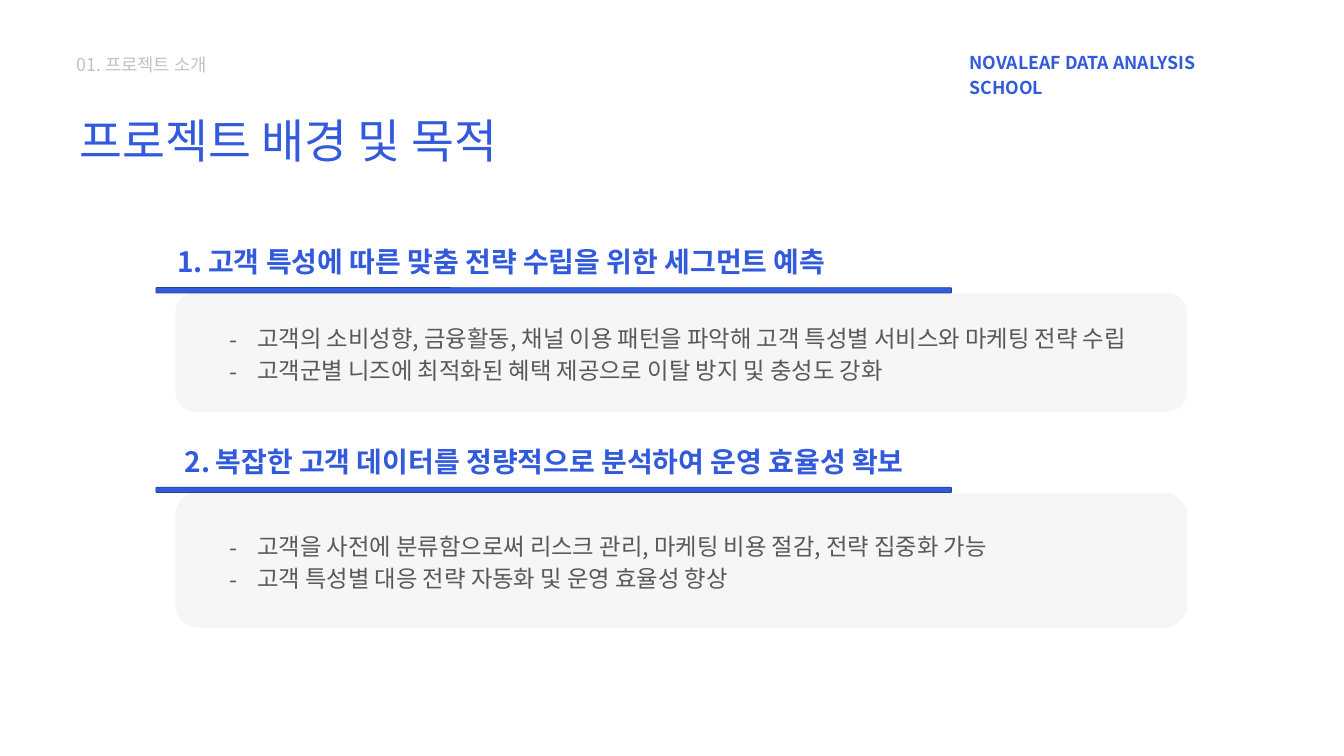
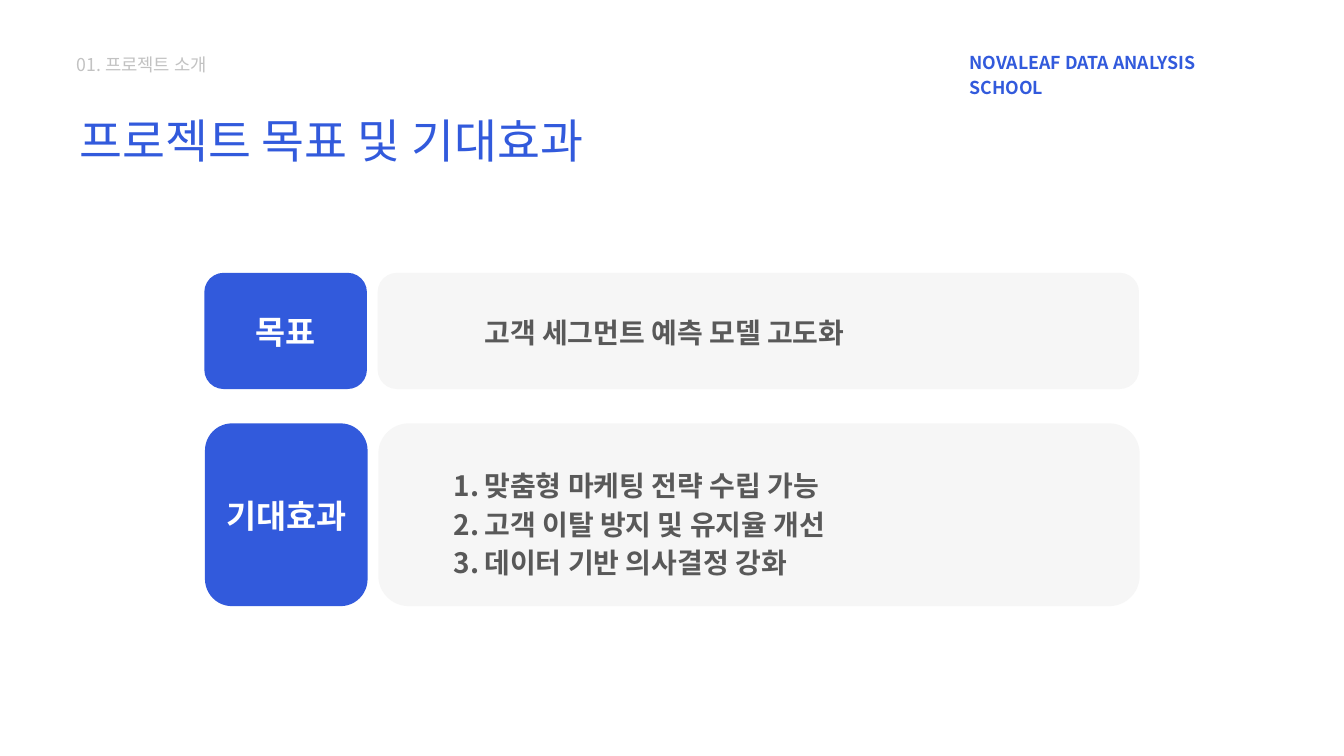
from dataclasses import dataclass

from lxml import etree
from pptx import Presentation
from pptx import util as u
from pptx.dml.color import RGBColor
from pptx.enum import shapes, text
from pptx.oxml import ns


@dataclass(frozen=True)
class Theme:
    font: str = "Noto Sans CJK KR"
    blue: str = "325ADC"
    navy: str = "1F497D"
    panel: str = "F6F6F6"
    body: str = "595959"
    muted: str = "C2C2C2"
    white: str = "FFFFFF"
    title_size: int = 50
    label_size: int = 35
    heading_size: int = 30
    list_size: int = 25
    small_size: int = 19


THEME = Theme()
SCHOOL = "NOVALEAF DATA ANALYSIS SCHOOL"
SECTION = "01. 프로젝트 소개"
TITLE_ONLY, ONE_LIST, TWO_LISTS = 5, 1, 3


def add_child(parent, tag, **attributes):
    return etree.SubElement(parent, ns.qn(tag), **attributes)


def add_bullet(paragraph, bullet, color, start=1):
    """Mark a paragraph with a character, or number it when bullet is '1.'."""
    properties = paragraph._p.get_or_add_pPr()
    add_child(add_child(properties, "a:buClr"), "a:srgbClr", val=color)
    add_child(properties, "a:buFont", typeface=THEME.font)
    if bullet == "1.":
        add_child(properties, "a:buAutoNum", type="arabicPeriod", startAt=str(start))
    else:
        add_child(properties, "a:buChar", char=bullet)


def write(shape, lines, size, color, bold=False, align="LEFT", inset=0.1,
          spacing=1.0, margin=0, hanging=0, bullet=None, start=1):
    """Fill a shape with formatted paragraphs, one for each line."""
    frame = shape.text_frame
    frame.word_wrap = True
    frame.auto_size = text.MSO_AUTO_SIZE.NONE
    frame.vertical_anchor = text.MSO_ANCHOR.TOP
    frame.margin_left = frame.margin_right = u.Inches(inset)
    frame.margin_top = frame.margin_bottom = u.Inches(inset)
    frame.text = "\n".join(lines)
    for paragraph in frame.paragraphs:
        paragraph.alignment = getattr(text.PP_ALIGN, align)
        paragraph.line_spacing = spacing
        paragraph.space_before = paragraph.space_after = u.Pt(0)
        if margin:
            properties = paragraph._p.get_or_add_pPr()
            properties.set("marL", str(u.Inches(margin)))
            properties.set("indent", str(u.Inches(-hanging)))
        if bullet:
            add_bullet(paragraph, bullet, color, start)
        for run in paragraph.runs:
            font = run.font
            font.name, font.size, font.bold = THEME.font, u.Pt(size), bold
            font.color.rgb = RGBColor.from_string(color)
            add_child(run._r.get_or_add_rPr(), "a:ea", typeface=THEME.font)


class Deck:
    def __init__(self, theme):
        self.theme = theme
        self.presentation = Presentation()
        self.presentation.slide_width = u.Inches(20)
        self.presentation.slide_height = u.Inches(11.25)
        self.slide = None

    def new_slide(self, layout, title):
        """Start a slide with the shared title and header."""
        theme = self.theme
        layouts = self.presentation.slide_layouts
        self.slide = self.presentation.slides.add_slide(layouts[layout])
        self.place(self.slide.shapes.title, 1.18, 1.53, 8.23, 0.76)
        write(self.slide.shapes.title, [title], theme.title_size, theme.blue,
              inset=0, spacing=1.16)
        header = dict(size=theme.small_size, inset=0, spacing=1.16)
        self.text_box(SCHOOL, 14.43, 0.72, 4.39, 0.36, color=theme.blue, bold=True, **header)
        self.text_box(SECTION, 1.14, 0.75, 4.39, 0.32, color=theme.muted, **header)

    def place(self, shape, left, top, width, height):
        shape.left, shape.top = u.Inches(left), u.Inches(top)
        shape.width, shape.height = u.Inches(width), u.Inches(height)

    def text_box(self, line, left, top, width, height, **style):
        box = self.slide.shapes.add_textbox(
            u.Inches(left), u.Inches(top), u.Inches(width), u.Inches(height))
        write(box, [line], **style)

    def rounded(self, left, top, width, height, fill, line=None):
        shape = self.slide.shapes.add_shape(
            shapes.MSO_SHAPE.ROUNDED_RECTANGLE,
            u.Inches(left), u.Inches(top), u.Inches(width), u.Inches(height))
        shape.shadow.inherit = False
        shape.fill.solid()
        shape.fill.fore_color.rgb = RGBColor.from_string(fill)
        if line:
            shape.line.color.rgb = RGBColor.from_string(line)
            shape.line.width = u.Pt(0.75)
        else:
            shape.line.fill.background()

    def body_list(self, index, lines, left, top, width, height, **style):
        """Move a body placeholder in front of the panels and fill it."""
        body = self.slide.placeholders[index]
        self.place(body, left, top, width, height)
        body.element.getparent().append(body.element)
        write(body, lines, color=self.theme.body, margin=0.5, spacing=1.15, **style)

    def reason(self, number, heading, heading_left, bar_top, panel_height, lines):
        """A numbered heading over a bar, with a panel of points below."""
        theme = self.theme
        panel_top, list_height = bar_top + 0.08, 1.16
        self.rounded(2.61, panel_top, 15.05, panel_height, theme.panel)
        self.rounded(2.32, bar_top, 11.84, 0.08, theme.blue, theme.navy)
        self.text_box(heading, heading_left, bar_top - 0.74, 11.46, 0.76,
                      size=theme.heading_size, color=theme.blue, bold=True,
                      margin=0.5, hanging=0.46, bullet="1.", start=number)
        self.body_list(number, lines, 3.23, panel_top + (panel_height - list_height) / 2,
                       14.61, list_height, size=theme.list_size, hanging=0.42, bullet="-")

    def label_row(self, label, left, top, height):
        """A blue label beside a wide panel."""
        theme = self.theme
        label_width, label_height = 2.42, 0.76
        self.rounded(left + 2.58, top, 11.33, height, theme.panel)
        self.rounded(left, top, label_width, height, theme.blue)
        self.text_box(label, left, top + (height - label_height) / 2, label_width,
                      label_height, size=theme.label_size, color=theme.white,
                      bold=True, align="CENTER")


def main():
    deck = Deck(THEME)

    # Background and purpose
    deck.new_slide(TWO_LISTS, "프로젝트 배경 및 목적")
    deck.reason(1, "고객 특성에 따른 맞춤 전략 수립을 위한 세그먼트 예측", 2.5, 4.28, 1.77, [
        "고객의 소비성향, 금융활동, 채널 이용 패턴을 파악해 고객 특성별 서비스와 마케팅 전략 수립",
        "고객군별 니즈에 최적화된 혜택 제공으로 이탈 방지 및 충성도 강화"])
    deck.reason(2, "복잡한 고객 데이터를 정량적으로 분석하여 운영 효율성 확보", 2.61, 7.25, 2.01, [
        "고객을 사전에 분류함으로써 리스크 관리, 마케팅 비용 절감, 전략 집중화 가능",
        "고객 특성별 대응 전략 자동화 및 운영 효율성 향상"])

    # Goal and expected effects
    deck.new_slide(ONE_LIST, "프로젝트 목표 및 기대효과")
    statement = dict(size=THEME.heading_size, bold=True)
    deck.label_row("목표", 3.04, 4.06, 1.73)
    deck.text_box("고객 세그먼트 예측 모델 고도화", 6.61, 4.59, 7.82, 0.66,
                  color=THEME.body, margin=0.5, **statement)
    deck.label_row("기대효과", 3.05, 6.3, 2.72)
    deck.body_list(1, ["맞춤형 마케팅 전략 수립 가능",
                       "고객 이탈 방지 및 유지율 개선",
                       "데이터 기반 의사결정 강화"],
                   6.61, 6.8, 7.82, 1.73, hanging=0.46, bullet="1.", **statement)

    deck.presentation.save("out.pptx")


if __name__ == "__main__":
    main()
